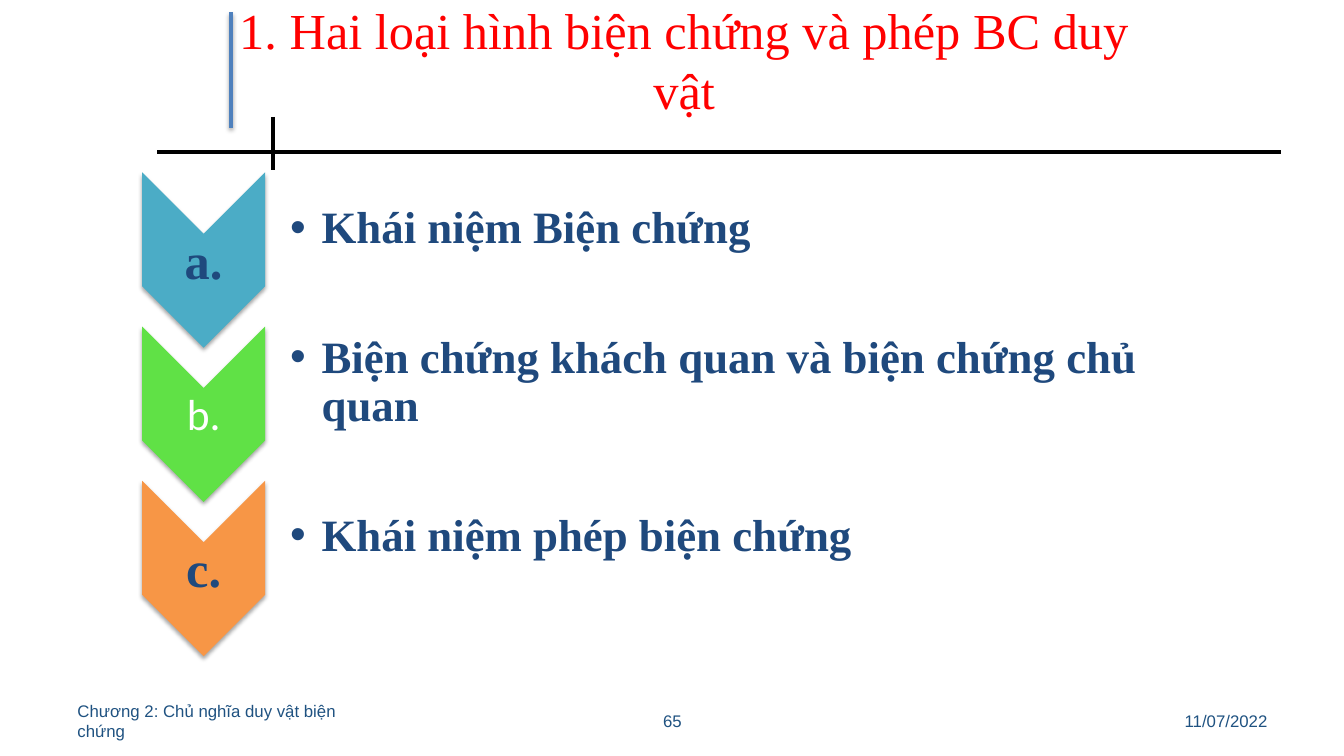
from dataclasses import dataclass

from lxml.etree import SubElement
from pptx import Presentation
from pptx.dml.color import RGBColor
from pptx.enum.shapes import MSO_CONNECTOR, MSO_SHAPE
from pptx.enum.text import MSO_ANCHOR, MSO_AUTO_SIZE, PP_ALIGN
from pptx.oxml.ns import qn
from pptx.util import Inches, Pt

TITLE = "1. Hai loại hình biện chứng và phép BC duy vật"
TOPICS = [
    "Khái niệm Biện chứng",
    "Biện chứng khách quan và biện chứng chủ quan",
    "Khái niệm phép biện chứng",
]


@dataclass(frozen=True)
class Theme:
    serif: str = "Times New Roman"
    sans: str = "Calibri"
    footer_font: str = "Arial"
    red: str = "FF0000"
    navy: str = "1F497D"
    white: str = "FFFFFF"
    black: str = "000000"
    blue: str = "4F81BD"
    footer: str = "1F5281"
    teal: str = "4BACC6"
    green: str = "60E146"
    orange: str = "F79646"
    title_size: int = 36
    topic_size: int = 32
    plain_size: int = 31
    footer_size: int = 12
    line_width: int = 3


T = Theme()
MARKERS = [
    ("a.", T.teal, (T.serif, T.title_size, T.navy, True)),
    ("b.", T.green, (T.sans, T.plain_size, T.white, False)),
    ("c.", T.orange, (T.serif, T.title_size, T.navy, True)),
]
RULES = [
    ((1.56, 1.51), (12.71, 1.51), T.black, False),
    ((2.71, 1.16), (2.71, 1.69), T.black, False),
    ((2.29, 0.12), (2.29, 1.27), T.blue, True),
]
FOOTERS = [
    ("Chương 2: Chủ nghĩa duy vật biện chứng", 0.67, 3.11, PP_ALIGN.LEFT),
    ("65", 4.56, 4.22, PP_ALIGN.CENTER),
    ("11/07/2022", 9.56, 3.11, PP_ALIGN.RIGHT),
]
ROW_PITCH = 1.53


def place(sp, left, top, width, height):
    sp.left, sp.top = Inches(left), Inches(top)
    sp.width, sp.height = Inches(width), Inches(height)


def frame(sp, inset=None):
    tf = sp.text_frame
    tf.word_wrap = True
    tf.auto_size = MSO_AUTO_SIZE.NONE
    tf.vertical_anchor = MSO_ANCHOR.MIDDLE
    if inset is not None:
        tf.margin_left = tf.margin_right = Inches(inset)
        tf.margin_top = tf.margin_bottom = Inches(inset)
    return tf


def style(p, align, name, size, color, bold=False):
    p.alignment = align
    for r in p.runs:
        r.font.name, r.font.size, r.font.bold = name, Pt(size), bold
        r.font.color.rgb = RGBColor.from_string(color)


def add_text(slide, text, box, align, font, inset=None):
    sp = slide.shapes.add_textbox(*map(Inches, box))
    tf = frame(sp, inset)
    tf.text = text
    style(tf.paragraphs[0], align, *font)


def set_effects(sp, shadowed):
    effects = SubElement(sp._element.spPr, qn("a:effectLst"))
    if shadowed:
        shadow = SubElement(effects, qn("a:outerShdw"), blurRad=str(Pt(3.1)),
                            dist=str(Pt(1.8)), dir="5400000", rotWithShape="0")
        color = SubElement(shadow, qn("a:srgbClr"), val=T.black)
        SubElement(color, qn("a:alpha"), val="35000")


def add_rule(slide, start, end, color, shadowed):
    line = slide.shapes.add_connector(
        MSO_CONNECTOR.STRAIGHT, *map(Inches, start + end))
    line.line.color.rgb = RGBColor.from_string(color)
    line.line.width = Pt(T.line_width)
    set_effects(line, shadowed)


def add_marker(slide, row, label, color, font):
    offset = row * ROW_PITCH
    sp = slide.shapes.add_shape(
        MSO_SHAPE.CHEVRON, *map(Inches, (1.15, 1.97 + offset, 1.74, 1.22)))
    sp.rotation = 90
    sp.fill.solid()
    sp.fill.fore_color.rgb = RGBColor.from_string(color)
    sp.line.fill.background()
    set_effects(sp, True)
    add_text(slide, label, (1.41, 2.31 + offset, 1.22, 0.52),
             PP_ALIGN.CENTER, font, 0.03)


def fill_title(sp):
    place(sp, 2.17, 0.28, 9.23, 0.62)
    tf = frame(sp)
    tf.text = TITLE
    style(tf.paragraphs[0], PP_ALIGN.CENTER, T.serif, T.title_size, T.red)


def fill_topics(sp):
    place(sp, 2.63, 1.76, 9.21, 4.08)
    tf = frame(sp, 0.02)
    tf.margin_left = Inches(0.25)
    tf.text = "\n".join(TOPICS)
    for i, p in enumerate(tf.paragraphs):
        pPr = p._p.get_or_add_pPr()
        pPr.set("marL", str(Inches(0.31)))
        pPr.set("indent", str(-Inches(0.31)))
        SubElement(pPr, qn("a:buFont"), typeface=T.footer_font)
        SubElement(pPr, qn("a:buChar"), char="•")
        p.line_spacing = 0.9
        p.space_before = Pt(58 if i else 0)
        p.space_after = Pt(0)
        style(p, PP_ALIGN.LEFT, T.serif, T.topic_size, T.navy, True)


def main():
    prs = Presentation()
    prs.slide_width, prs.slide_height = Inches(13.33), Inches(7.5)
    slide = prs.slides.add_slide(prs.slide_layouts[1])
    fill_title(slide.shapes.title)
    fill_topics(slide.placeholders[1])
    for rule in RULES:
        add_rule(slide, *rule)
    for row, marker in enumerate(MARKERS):
        add_marker(slide, row, *marker)
    for text, left, width, align in FOOTERS:
        add_text(slide, text, (left, 6.95, width, 0.4), align,
                 (T.footer_font, T.footer_size, T.footer))
    prs.save("out.pptx")


if __name__ == "__main__":
    main()
